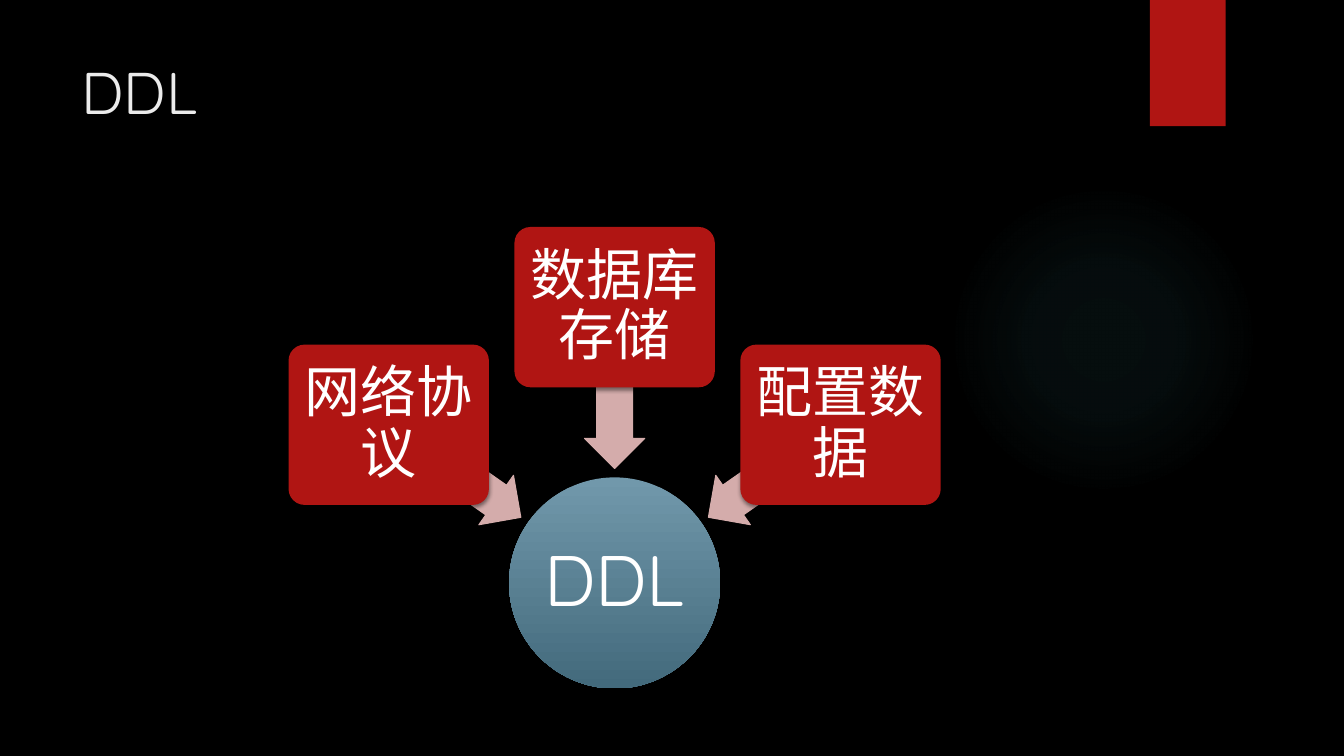
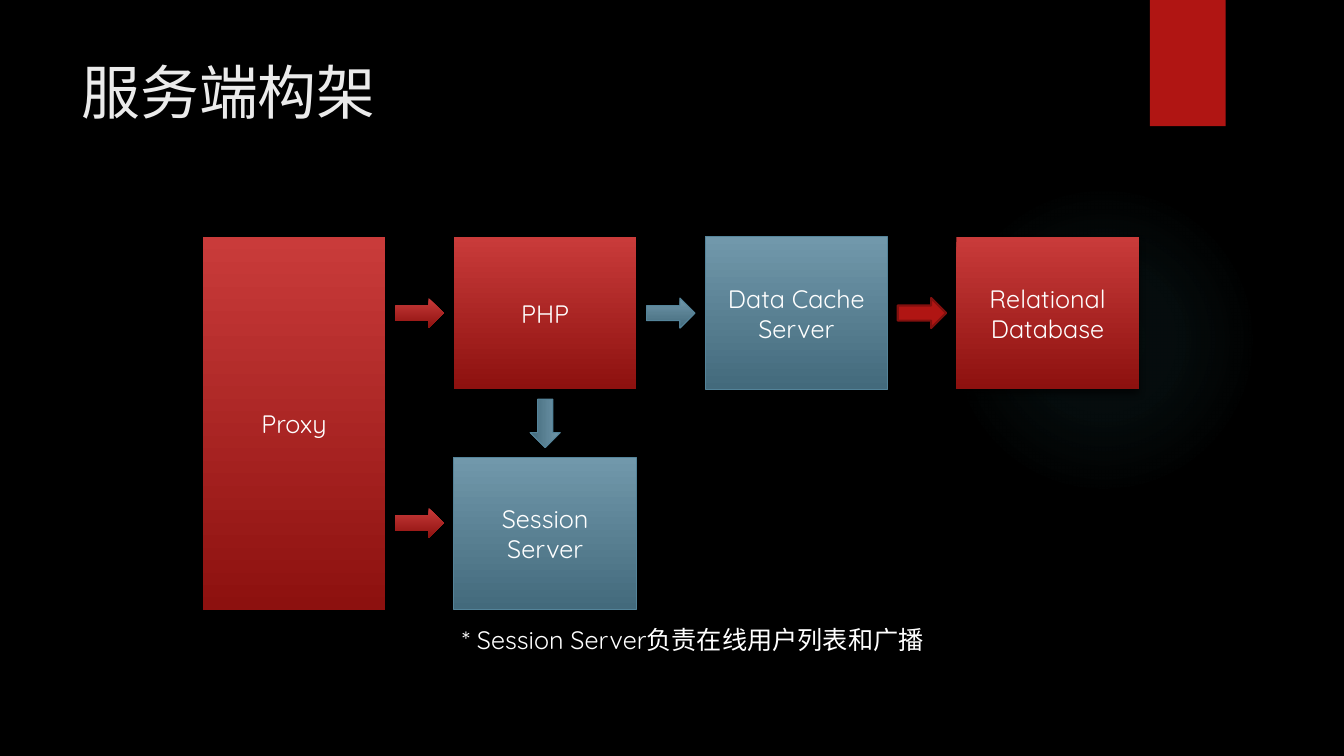
from collections import namedtuple
from math import cos, radians, sin

from pptx import Presentation
from pptx.dml.color import RGBColor
from pptx.enum.shapes import MSO_SHAPE
from pptx.enum.text import MSO_ANCHOR, MSO_AUTO_SIZE, PP_ALIGN
from pptx.oxml import parse_xml
from pptx.oxml.ns import nsdecls, qn
from pptx.util import Cm, Pt

FONT = "Quicksand"
BLACK, WHITE, TITLE, GLOW = "000000", "FFFFFF", "EBEBEB", "50B9C1"

# fill: one colour or a top-to-bottom pair; line: colour and points
# shadow: opacity in percent, blur and distance in points
Style = namedtuple("Style", "fill line shadow")
SOFT, DEEP = (45, 3, 2), (60, 5, 3)
FLAT_RED = Style(["B01513"], None, SOFT)
PINK = Style(["D4ACAB"], ("D4ACAB", 0.75), SOFT)
EDGED_RED = Style(["B01513"], ("82100E", 1.5), None)
RED = Style(["C93B3A", "8D110F"], None, DEEP)
BLUE = Style(["7198AB", "436A7C"], ("54849A", 0.75), SOFT)
HUB_BLUE = Style(["7198AB", "436A7C"], None, DEEP)


def rgb(value):
    """Turn a hex string into a colour."""
    return RGBColor.from_string(value)


def add_run(p, text, size, color=WHITE):
    """Add one formatted run to a paragraph."""
    r = p.add_run()
    r.text = text
    r.font.name = FONT
    r.font.size = Pt(size)
    r.font.color.rgb = rgb(color)


def add_shadow(sp, opacity, blur, distance):
    """Give a shape a black shadow that falls straight down."""
    effects = sp._element.spPr.find(qn("a:effectLst"))
    effects.append(parse_xml(
        f'<a:outerShdw {nsdecls("a")} blurRad="{Pt(blur)}" dist="{Pt(distance)}"'
        f' dir="5400000" rotWithShape="0"><a:srgbClr val="{BLACK}">'
        f'<a:alpha val="{opacity * 1000}"/></a:srgbClr></a:outerShdw>'))


def add_box(slide, kind, style, x, y, w, h):
    """Add a preset shape in one of the styles; lengths are in cm."""
    sp = slide.shapes.add_shape(kind, Cm(x), Cm(y), Cm(w), Cm(h))
    sp.shadow.inherit = False
    if len(style.fill) == 1:
        sp.fill.solid()
        sp.fill.fore_color.rgb = rgb(style.fill[0])
    else:
        sp.fill.gradient()
        sp.fill.gradient_angle = 270
        for stop, color in zip(sp.fill.gradient_stops, style.fill):
            stop.color.rgb = rgb(color)
    if style.line:
        color, width = style.line
        sp.line.color.rgb = rgb(color)
        sp.line.width = Pt(width)
    else:
        sp.line.fill.background()
    if style.shadow:
        add_shadow(sp, *style.shadow)
    return sp


def add_centered(slide, kind, style, cx, cy, w, h, rotation=0):
    """Add a shape by its centre."""
    sp = add_box(slide, kind, style, cx - w / 2, cy - h / 2, w, h)
    sp.rotation = rotation
    return sp


def label(sp, lines, size, inset=None, spacing=None):
    """Write centred paragraphs into a shape."""
    tf = sp.text_frame
    tf.word_wrap = True
    tf.vertical_anchor = MSO_ANCHOR.MIDDLE
    if inset is not None:
        tf.margin_left = tf.margin_right = Cm(inset)
        tf.margin_top = tf.margin_bottom = Cm(inset)
    for i, line in enumerate(lines):
        p = tf.add_paragraph() if i else tf.paragraphs[0]
        p.alignment = PP_ALIGN.CENTER
        p.line_spacing = spacing
        add_run(p, line, size)


def add_glow(slide):
    """Add the faint round glow on the right."""
    sp = add_box(slide, MSO_SHAPE.OVAL, FLAT_RED._replace(shadow=None),
                 23.9, 4.65, 7.82, 7.82)
    sp.fill.background()
    stops = "".join(
        f'<a:gs pos="{pos * 1000}"><a:srgbClr val="{GLOW}">'
        f'<a:alpha val="{alpha * 1000}"/></a:srgbClr></a:gs>'
        for pos, alpha in ((0, 7), (36, 6), (69, 0)))
    gradient = parse_xml(
        f'<a:gradFill {nsdecls("a")} rotWithShape="1"><a:gsLst>{stops}</a:gsLst>'
        '<a:path path="circle"><a:fillToRect l="50000" t="50000" r="50000"'
        ' b="50000"/></a:path></a:gradFill>')
    sp_pr = sp._element.spPr
    sp_pr.replace(sp_pr.find(qn("a:noFill")), gradient)
    return sp


def decorate_layout(slide):
    """Give the slide's layout its background, glow and red tab."""
    layout = slide.slide_layout
    layout.background.fill.solid()
    layout.background.fill.fore_color.rgb = rgb(BLACK)
    tab = add_box(slide, MSO_SHAPE.RECTANGLE, FLAT_RED, 28.98, 0, 1.91, 3.18)
    for number, sp in enumerate((add_glow(slide), tab), start=101):
        sp._element.nvSpPr.cNvPr.set("id", str(number))
        layout.shapes._spTree.append(sp._element)


def add_titled_slide(prs, text):
    """Add a title-only slide and format its title."""
    slide = prs.slides.add_slide(prs.slide_layouts[5])
    title = slide.shapes.title
    title.left, title.top = Cm(1.8), Cm(1.27)
    title.width, title.height = Cm(26.14), Cm(3.89)
    tf = title.text_frame
    tf.word_wrap = True
    tf.vertical_anchor = MSO_ANCHOR.TOP
    p = tf.paragraphs[0]
    p.alignment = PP_ALIGN.LEFT
    add_run(p, text, 42, TITLE)
    return slide


def draw_ddl(slide):
    """Draw three uses that point at the DDL hub."""
    cx, cy = 15.49, 14.69
    hub = add_centered(slide, MSO_SHAPE.OVAL, HUB_BLUE, cx, cy, 5.32, 5.32)
    label(hub, ["DDL"], 51, 0.1, 0.9)
    for angle, text in ((215, "网络协议"), (270, "数据库存储"), (325, "配置数据")):
        dx, dy = cos(radians(angle)), sin(radians(angle))
        arrow = add_centered(slide, MSO_SHAPE.LEFT_ARROW, PINK,
                             cx + 4.93 * dx, cy + 4.93 * dy, 4.09, 1.52, angle)
        arrow.adjustments[0] = 0.6
        use = add_centered(slide, MSO_SHAPE.ROUNDED_RECTANGLE, FLAT_RED,
                           cx + 6.95 * dx, cy + 6.95 * dy, 5.05, 4.04)
        use.adjustments[0] = 0.1
        label(use, [text], 40, 0.2, 0.9)


def draw_servers(slide):
    """Draw the server blocks, the arrows between them and the note."""
    w, h, pitch = 4.6, 3.84, 6.33
    columns = [5.11 + pitch * i for i in range(4)]
    top, bottom = 5.97, 11.53
    blocks = (
        (0, top, bottom + h - top, RED, ["Proxy"]),
        (1, top, h, RED, ["PHP"]),
        (2, top, h, BLUE, ["Data Cache", "Server"]),
        (3, top, h, RED, ["Relational Database"]),
        (1, bottom, h, BLUE, ["Session", "Server"]),
    )
    for column, y, height, style, lines in blocks:
        sp = add_box(slide, MSO_SHAPE.RECTANGLE, style, columns[column], y, w, height)
        label(sp, lines, 18)

    gaps = [x + (w + pitch) / 2 for x in columns[:3]]
    middle = top + h / 2
    arrows = (
        (gaps[0], middle, RED, 0),
        (gaps[1], middle, BLUE, 0),
        (gaps[2], middle, EDGED_RED, 0),
        (gaps[0], 13.18, RED, 0),
        (columns[1] + w / 2, (top + h + bottom) / 2, BLUE, 90),
    )
    for x, y, style, rotation in arrows:
        add_centered(slide, MSO_SHAPE.RIGHT_ARROW, style, x, y, 1.22, 0.76, rotation)

    note = slide.shapes.add_textbox(Cm(11.4), Cm(15.6), Cm(12.27), Cm(1.02))
    tf = note.text_frame
    tf.word_wrap = True
    tf.auto_size = MSO_AUTO_SIZE.SHAPE_TO_FIT_TEXT
    add_run(tf.paragraphs[0], "* Session Server负责在线用户列表和广播", 18)


def main():
    """Build and save the presentation."""
    prs = Presentation()
    prs.slide_width, prs.slide_height = Cm(33.87), Cm(19.05)
    ddl = add_titled_slide(prs, "DDL")
    decorate_layout(ddl)
    draw_ddl(ddl)
    draw_servers(add_titled_slide(prs, "服务端构架"))
    prs.save("out.pptx")


main()
